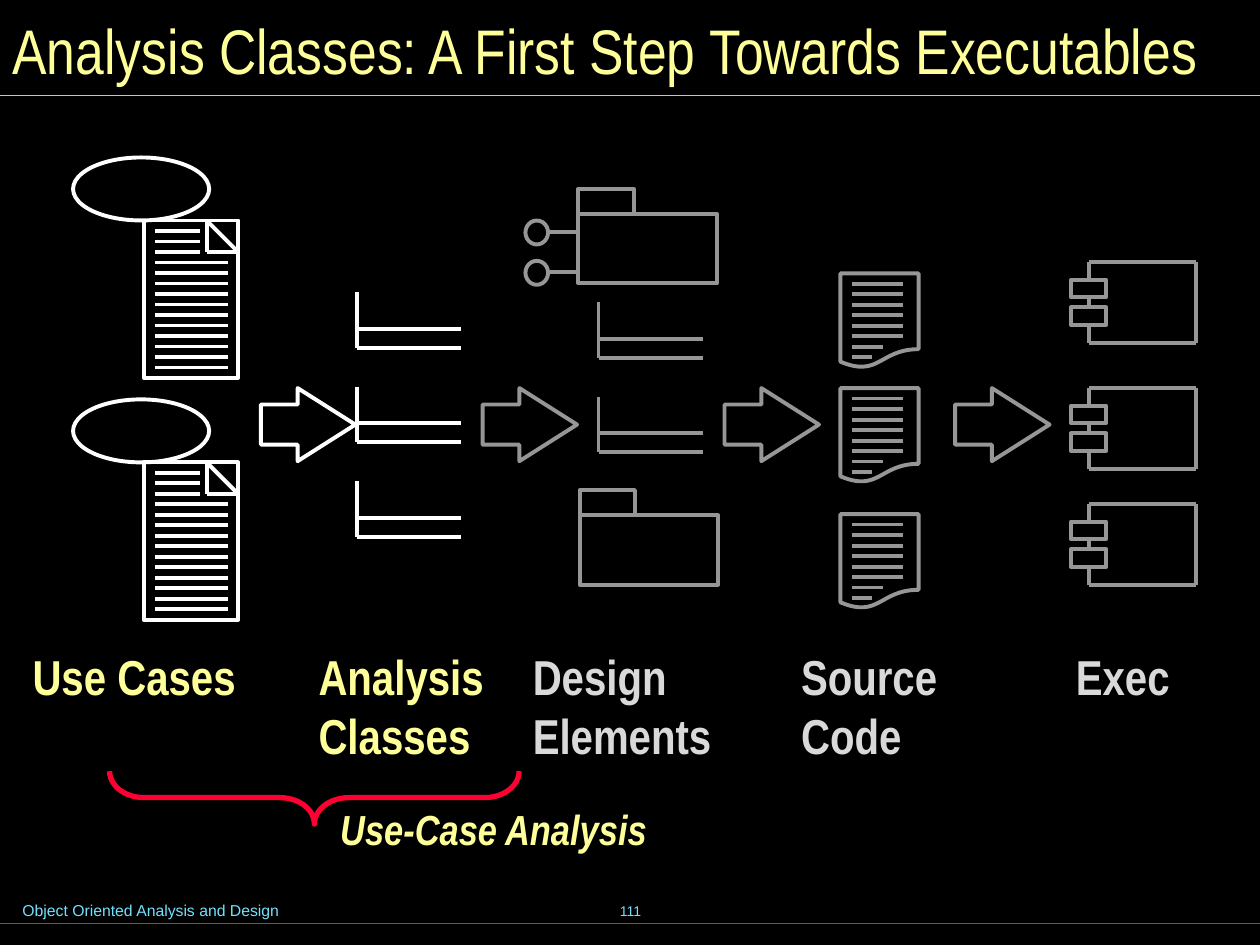
from lxml.etree import SubElement
from pptx import Presentation
from pptx.dml.color import RGBColor
from pptx.enum.shapes import MSO_CONNECTOR, MSO_SHAPE
from pptx.enum.text import MSO_ANCHOR, MSO_AUTO_SIZE, PP_ALIGN
from pptx.oxml.ns import qn
from pptx.util import Inches, Pt

COLORS = {
    "background": "000000", "active": "FFFFFF", "later": "969696",
    "heading": "FFFF99", "later_label": "D9D9D9", "brace": "FF0033",
    "rule": "73E1FF", "footer_rule": "007E9F",
}
ROW = 1 / 12  # gap between the writing lines on a sheet


def rgb(name):
    return RGBColor.from_string(COLORS[name])


def outline(shapes, kind, box, color, weight=2.25):
    """Add an unfilled preset shape; box is left, top, width, height in inches."""
    shape = shapes.add_shape(kind, *map(Inches, box))
    shape.shadow.inherit = False
    shape.fill.background()
    shape.line.color.rgb = rgb(color)
    shape.line.width = Pt(weight)
    return shape


def line(shapes, start, end, color, weight=2.25):
    connector = shapes.add_connector(
        MSO_CONNECTOR.STRAIGHT, *map(Inches, (*start, *end)))
    connector.line.color.rgb = rgb(color)
    connector.line.width = Pt(weight)
    SubElement(connector._element.spPr, qn("a:effectLst"))
    return connector


def writing(shapes, left, top, widths, color):
    for row, width in enumerate(widths):
        y = top + row * ROW
        line(shapes, (left, y), (left + width, y), color)


def format_text(frame, size, color, font="Arial Narrow", bold=False,
                italic=False, align=PP_ALIGN.LEFT):
    for paragraph in frame.paragraphs:
        paragraph.alignment = align
        for run in paragraph.runs:
            run.font.name = font
            run.font.size = Pt(size)
            run.font.bold = bold
            run.font.italic = italic
            run.font.color.rgb = rgb(color)


def add_text(slide, box, text, size, color, **style):
    frame = slide.shapes.add_textbox(*map(Inches, box)).text_frame
    frame.word_wrap = True
    frame.text = text
    format_text(frame, size, color, **style)
    return frame


def add_title(slide, box, text):
    title = slide.shapes.title
    title.left, title.top, title.width, title.height = map(Inches, box)
    frame = title.text_frame
    frame.text = text
    frame.word_wrap = True
    frame.auto_size = MSO_AUTO_SIZE.NONE
    frame.vertical_anchor = MSO_ANCHOR.MIDDLE
    format_text(frame, 36, "heading")
    line(slide.shapes, (0, 0.76), (10, 0.76), "rule", 0.75)


def add_footer(slide, top):
    add_text(slide, (0.08, top, 5.1, 0.25), "Object Oriented Analysis and Design",
             9, "rule", font="Arial")
    number = add_text(slide, (3.42, top - 0.12, 3.17, 0.5), "111", 8, "rule",
                      font="Arial", align=PP_ALIGN.CENTER)
    number.vertical_anchor = MSO_ANCHOR.MIDDLE
    line(slide.shapes, (0, top + 0.23), (10, top + 0.23), "footer_rule", 0.75)


def add_use_case(slide, left, top, color="active"):
    """Add a use-case oval with its specification sheet."""
    shapes = slide.shapes.add_group_shape().shapes
    outline(shapes, MSO_SHAPE.OVAL, (left, top, 1.08, 0.5), color)
    sheet_left, sheet_top, width, fold = left + 0.56, top + 0.5, 0.75, 0.25
    outline(shapes, MSO_SHAPE.RECTANGLE, (sheet_left, sheet_top, width, 1.25), color)
    fold_top = (sheet_left + width - fold, sheet_top)
    fold_inner = (sheet_left + width - fold, sheet_top + fold)
    fold_right = (sheet_left + width, sheet_top + fold)
    for start, end in ((fold_top, fold_right), (fold_top, fold_inner),
                       (fold_right, fold_inner)):
        line(shapes, start, end, color)
    writing(shapes, sheet_left + 0.09, sheet_top + ROW,
            [0.36] * 3 + [0.58] * 11, color)


def add_class(slide, left, top, color):
    shapes = slide.shapes.add_group_shape().shapes
    line(shapes, (left, top - 0.01), (left, top + 0.43), color)
    for offset in (0.28, 0.43):
        line(shapes, (left, top + offset), (left + 0.83, top + offset), color)


def add_package(slide, left, top, interface_offsets=(), color="later"):
    """Add a tabbed package, with one lollipop for each interface offset."""
    shapes = slide.shapes.add_group_shape().shapes
    outline(shapes, MSO_SHAPE.RECTANGLE, (left, top + 0.2, 1.1, 0.55), color)
    outline(shapes, MSO_SHAPE.RECTANGLE, (left, top, 0.44, 0.2), color)
    for offset in interface_offsets:
        y = top + offset
        outline(shapes, MSO_SHAPE.OVAL, (left - 0.42, y - 0.09, 0.18, 0.19), color)
        line(shapes, (left - 0.24, y), (left, y), color)


def add_source_file(slide, left, top, color="later"):
    shapes = slide.shapes.add_group_shape().shapes
    outline(shapes, MSO_SHAPE.FLOWCHART_DOCUMENT, (left, top, 0.62, 0.75), color)
    writing(shapes, left + 0.09, top + ROW, [0.41] * 6 + [0.25, 0.16], color)


def add_component(slide, left, top, color="later"):
    shapes = slide.shapes.add_group_shape().shapes
    spine, right, bottom = left + 0.14, left + 0.99, top + 0.64
    line(shapes, (right, top), (right, bottom), color)
    for y in (top, bottom):
        line(shapes, (right, y), (spine, y), color)
    upper, lower = (
        outline(shapes, MSO_SHAPE.RECTANGLE, (left, top + offset, 0.28, 0.14), color)
        for offset in (0.14, 0.36))
    line(shapes, (spine, top), (spine, top + 0.14), color).end_connect(upper, 0)
    line(shapes, (spine, bottom), (spine, top + 0.5), color).end_connect(lower, 2)
    link = line(shapes, (spine, top + 0.36), (spine, top + 0.28), color)
    link.begin_connect(lower, 0)
    link.end_connect(upper, 2)


def add_arrow(slide, left, top, color):
    arrow = outline(slide.shapes, MSO_SHAPE.RIGHT_ARROW, (left, top, 0.75, 0.58), color)
    arrow.adjustments[0], arrow.adjustments[1] = 0.548, 0.789


def add_scope(slide, left, top, length):
    """Add the downward brace over the phases in scope, and its caption."""
    depth = 0.42
    box = (left + (length - depth) / 2, top + (depth - length) / 2, depth, length)
    brace = outline(slide.shapes, MSO_SHAPE.LEFT_BRACE, box, "brace", 3)
    brace.rotation = 270
    brace.adjustments[0], brace.adjustments[1] = 0.65, 0.5
    caption = add_text(slide, (left + 1.71, top + 0.2, 3.25, 0.52),
                       "Use-Case Analysis", 24, "heading", bold=True, italic=True)
    caption.margin_left = caption.margin_right = Inches(0.12)
    caption.margin_top = caption.margin_bottom = Inches(0.06)


def add_labels(slide, top):
    for left, width, height, text, color in (
            (0.16, 1.95, 0.57, "Use Cases", "heading"),
            (2.43, 1.65, 1.04, "Analysis\vClasses", "heading"),
            (4.13, 1.85, 1.04, "Design\vElements", "later_label"),
            (6.26, 1.45, 1.04, "Source\nCode", "later_label"),
            (8.44, 1.1, 0.57, "Exec", "later_label")):
        add_text(slide, (left, top, width, height), text, 28, color, bold=True)


def add_flow(slide, arrow_top):
    for left, color in ((2.07, "active"), (3.83, "later"),
                        (5.75, "later"), (7.58, "later")):
        add_arrow(slide, left, arrow_top, color)
    for top in (1.25, 3.17):
        add_use_case(slide, 0.58, top)
    for top in (2.33, 3.08, 3.83):
        add_class(slide, 2.83, top, "active")
    add_package(slide, 4.59, 1.5, interface_offsets=(0.34, 0.66))
    for top in (2.41, 3.16):
        add_class(slide, 4.75, top, "later")
    add_package(slide, 4.6, 3.89)
    for top in (2.17, 3.08, 4.08):
        add_source_file(slide, 6.67, top)
    for top in (2.08, 3.08, 4):
        add_component(slide, 8.5, top)


def main():
    deck = Presentation()
    deck.slide_width, deck.slide_height = Inches(10), Inches(7.5)
    slide = deck.slides.add_slide(deck.slide_layouts[5])
    slide.background.fill.solid()
    slide.background.fill.fore_color.rgb = rgb("background")
    add_title(slide, (0, 0, 9.93, 0.78),
              "Analysis Classes: A First Step Towards Executables")
    add_flow(slide, 3.08)
    add_labels(slide, 5.08)
    add_scope(slide, 0.87, 6.12, 3.25)
    add_footer(slide, 7.1)
    deck.save("out.pptx")


if __name__ == "__main__":
    main()
